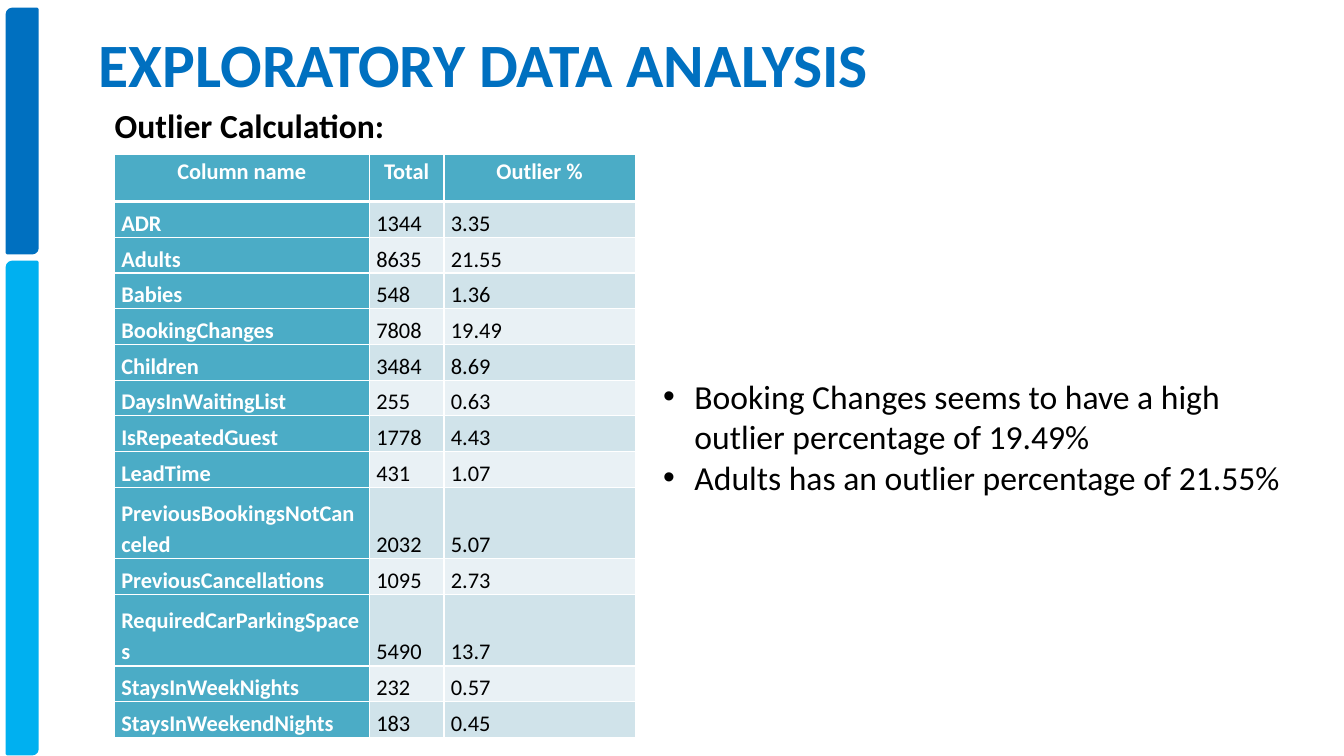
from lxml import etree
from pptx import Presentation
from pptx import util as u
from pptx.dml.color import RGBColor
from pptx.enum import shapes, text
from pptx.oxml.ns import qn

WIDTH, HEIGHT = u.Inches(13.33), u.Inches(7.5)
BLUE = RGBColor(0x00, 0x70, 0xC0)
SKY = RGBColor(0x00, 0xB0, 0xF0)
TEAL = RGBColor(0x4B, 0xAC, 0xC6)
BANDS = RGBColor(0xD0, 0xE3, 0xEA), RGBColor(0xE9, 0xF1, 0xF5)
WHITE = RGBColor(0xFF, 0xFF, 0xFF)
BLACK = RGBColor(0x00, 0x00, 0x00)

HEADINGS = ("Column name", "Total", "Outlier %")
OUTLIERS = (
    ("ADR", "1344", "3.35"),
    ("Adults", "8635", "21.55"),
    ("Babies", "548", "1.36"),
    ("BookingChanges", "7808", "19.49"),
    ("Children", "3484", "8.69"),
    ("DaysInWaitingList", "255", "0.63"),
    ("IsRepeatedGuest", "1778", "4.43"),
    ("LeadTime", "431", "1.07"),
    ("PreviousBookingsNotCanceled", "2032", "5.07"),
    ("PreviousCancellations", "1095", "2.73"),
    ("RequiredCarParkingSpaces", "5490", "13.7"),
    ("StaysInWeekNights", "232", "0.57"),
    ("StaysInWeekendNights", "183", "0.45"),
)
TWO_LINE_NAMES = {"PreviousBookingsNotCanceled", "RequiredCarParkingSpaces"}
FINDINGS = (
    "Booking Changes seems to have a high outlier percentage of 19.49%",
    "Adults has an outlier percentage of 21.55%",
)


def col(share):
    return round(WIDTH * share / 100)


def row(share):
    return round(HEIGHT * share / 100)


def area(left, top, width, height):
    return col(left), row(top), col(width), row(height)


def add_bullet(paragraph):
    properties = paragraph._p.get_or_add_pPr()
    indent = u.Inches(0.31)
    properties.set("marL", str(indent))
    properties.set("indent", str(-indent))
    etree.SubElement(properties, qn("a:buFont")).set("typeface", "Arial")
    etree.SubElement(properties, qn("a:buChar")).set("char", "•")


def write(frame, *lines, size=24, color=BLACK, bold=False,
          align=text.PP_ALIGN.LEFT, spacing=None, bullet=False):
    frame.word_wrap = True
    for index, line in enumerate(lines):
        paragraph = frame.add_paragraph() if index else frame.paragraphs[0]
        paragraph.alignment = align
        if spacing:
            paragraph.line_spacing = spacing
        if bullet:
            add_bullet(paragraph)
        run = paragraph.add_run()
        run.text = line
        run.font.name = "Calibri"
        run.font.size = u.Pt(size)
        run.font.bold = bold
        run.font.color.rgb = color


def add_side_bar(slide, top, height, color):
    bar = slide.shapes.add_shape(
        shapes.MSO_SHAPE.ROUND_2_DIAG_RECTANGLE, *area(0.53, top, 2.25, height))
    bar.shadow.inherit = False
    bar.fill.solid()
    bar.fill.fore_color.rgb = color
    bar.line.color.rgb = color
    bar.line.width = u.Pt(2)


def add_text(slide, place, *lines, **style):
    box = slide.shapes.add_textbox(*area(*place))
    write(box.text_frame, *lines, **style)


def set_borders(cell, **points):
    properties = cell._tc.get_or_add_tcPr()
    for side in "LRTB":
        border = etree.SubElement(properties, qn(f"a:ln{side}"))
        border.set("w", str(u.Pt(points.get(side, 1))))
        paint = etree.SubElement(border, qn("a:solidFill"))
        etree.SubElement(paint, qn("a:srgbClr")).set("val", str(WHITE))


def fill_cell(cell, content, fill, anchor, borders, **style):
    cell.margin_left = cell.margin_right = u.Inches(0.07)
    cell.margin_top = cell.margin_bottom = 0
    cell.vertical_anchor = anchor
    set_borders(cell, **borders)
    cell.fill.solid()
    cell.fill.fore_color.rgb = fill
    write(cell.text_frame, content, size=16, spacing=1.15, **style)


def add_outlier_table(slide):
    widths = (18.98, 5.55, 14.25)
    header_height, table_height = 6.27, 77.2
    line_counts = [2 if name in TWO_LINE_NAMES else 1 for name, *_ in OUTLIERS]
    line_height = (table_height - header_height) / sum(line_counts)
    table = slide.shapes.add_table(
        len(OUTLIERS) + 1, len(HEADINGS),
        *area(8.5, 20.4, sum(widths), table_height)).table
    for column, width in zip(table.columns, widths):
        column.width = col(width)
    table.rows[0].height = row(header_height)
    for number, heading in enumerate(HEADINGS):
        fill_cell(table.cell(0, number), heading, TEAL, text.MSO_ANCHOR.TOP,
                  {"B": 3}, color=WHITE, bold=True, align=text.PP_ALIGN.CENTER)
    for index, (record, lines) in enumerate(zip(OUTLIERS, line_counts)):
        table.rows[index + 1].height = row(line_height * lines)
        for number, content in enumerate(record):
            is_name = number == 0
            fill_cell(table.cell(index + 1, number), content,
                      TEAL if is_name else BANDS[index % 2],
                      text.MSO_ANCHOR.BOTTOM, {"T": 1 if index else 3},
                      color=WHITE if is_name else BLACK, bold=is_name,
                      align=text.PP_ALIGN.JUSTIFY)


def set_title(slide, place, heading):
    title = slide.shapes.title
    title.left, title.top, title.width, title.height = area(*place)
    title.text_frame.vertical_anchor = text.MSO_ANCHOR.MIDDLE
    title.text_frame.auto_size = text.MSO_AUTO_SIZE.NONE
    write(title.text_frame, heading, size=44, color=BLUE, bold=True)


def main():
    deck = Presentation()
    deck.slide_width, deck.slide_height = WIDTH, HEIGHT
    slide = deck.slides.add_slide(deck.slide_layouts[5])
    add_side_bar(slide, 1.2, 32.27, BLUE)
    add_side_bar(slide, 34.67, 65.07, SKY)
    set_title(slide, (6.6, 0, 73.89, 16.67), "EXPLORATORY DATA ANALYSIS")
    add_outlier_table(slide)
    add_text(slide, (7.8, 13.2, 32.18, 6.67), "Outlier Calculation:", bold=True)
    add_text(slide, (48.61, 49.07, 48.01, 17.47), *FINDINGS, bullet=True)
    deck.save("out.pptx")


if __name__ == "__main__":
    main()
